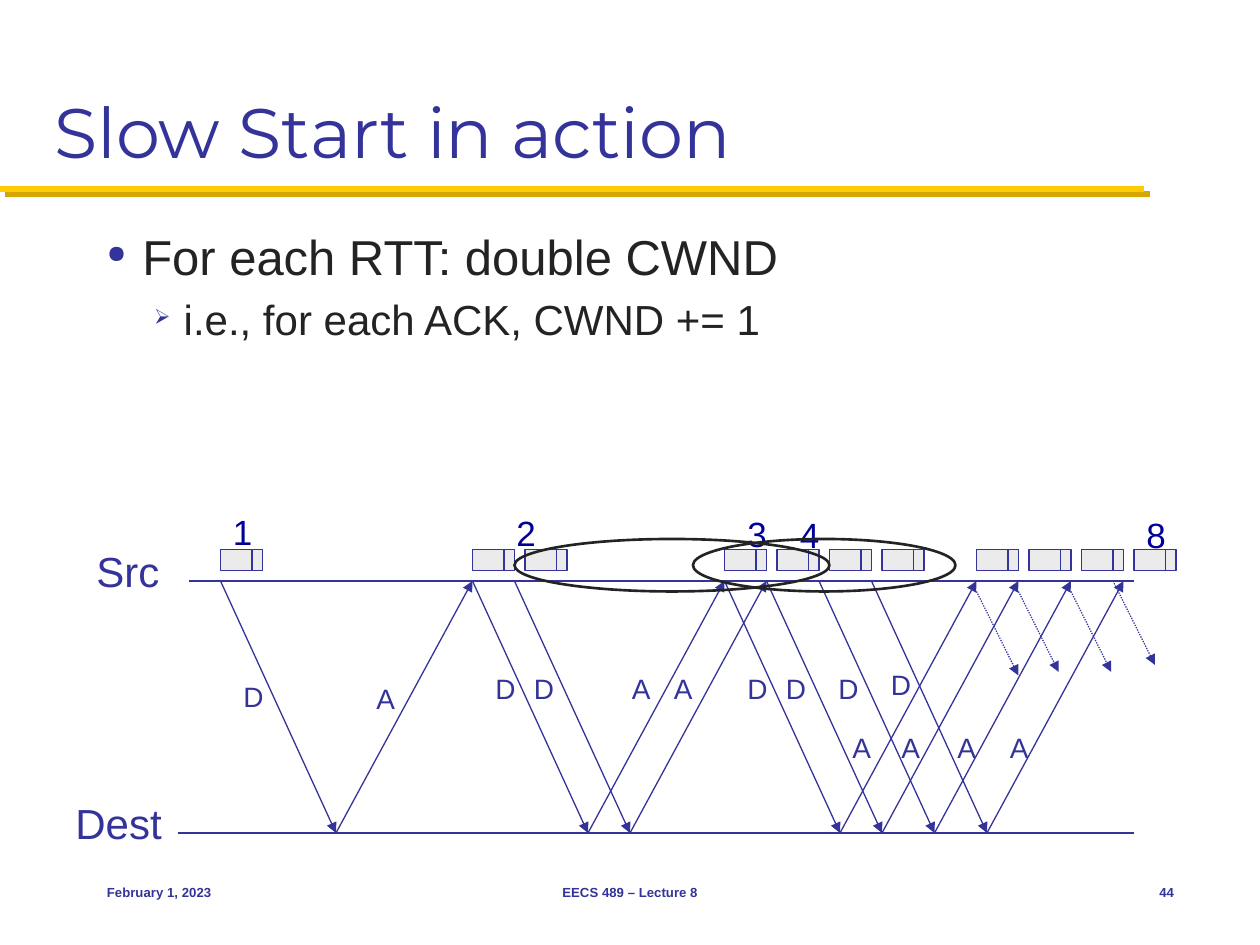
from lxml import etree
from pptx import Presentation
from pptx.dml.color import RGBColor
from pptx.enum.dml import MSO_LINE
from pptx.enum.shapes import MSO_CONNECTOR, MSO_SHAPE
from pptx.enum.text import MSO_ANCHOR, PP_ALIGN
from pptx.oxml.ns import qn
from pptx.util import Pt

STRAIGHT = MSO_CONNECTOR.STRAIGHT
DOTTED = MSO_LINE.ROUND_DOT
RECT, OVAL = MSO_SHAPE.RECTANGLE, MSO_SHAPE.OVAL
TOP, MIDDLE, BOTTOM = MSO_ANCHOR.TOP, MSO_ANCHOR.MIDDLE, MSO_ANCHOR.BOTTOM
LEFT, CENTER, RIGHT = PP_ALIGN.LEFT, PP_ALIGN.CENTER, PP_ALIGN.RIGHT

COLORS = {"navy": "333399", "count": "000099", "ink": "232323",
          "packet": "EBEBEB", "gold": "FFCB05", "gold_shadow": "D3A600"}

prs = Presentation()
prs.slide_width, prs.slide_height = Pt(720), Pt(540)
slide = prs.slides.add_slide(prs.slide_layouts[6])


def add_text(text, left, top, width, height, size=16, color="navy", font="Arial",
             bold=False, align=LEFT, anchor=TOP, wrap=False):
    """Add a text box and return its text frame."""
    frame = slide.shapes.add_textbox(Pt(left), Pt(top), Pt(width), Pt(height)).text_frame
    frame.word_wrap = wrap
    frame.vertical_anchor = anchor
    paragraph = frame.paragraphs[0]
    paragraph.alignment = align
    run = paragraph.add_run()
    run.text = text
    run.font.size, run.font.name, run.font.bold = Pt(size), font, bold
    run.font.color.rgb = RGBColor.from_string(COLORS[color])
    return frame


def add_line(x1, y1, x2, y2, color="navy", width=0.75, arrow=False, dash=None):
    """Add a line without shadow and return its effect list."""
    line = slide.shapes.add_connector(STRAIGHT, Pt(x1), Pt(y1), Pt(x2), Pt(y2))
    line.line.color.rgb = RGBColor.from_string(COLORS[color])
    line.line.width = Pt(width)
    if dash:
        line.line.dash_style = dash
    if arrow:
        etree.SubElement(line.line._get_or_add_ln(), qn("a:tailEnd"), type="triangle")
    return etree.SubElement(line._element.spPr, qn("a:effectLst"))


# Title and its gold rule
rule_effects = add_line(0, 108, 654, 108, color="gold", width=3.5)
shadow = etree.SubElement(rule_effects, qn("a:outerShdw"), dist=str(Pt(4.2)),
                          dir="2700000", algn="ctr", rotWithShape="0")
etree.SubElement(shadow, qn("a:srgbClr"), val=COLORS["gold_shadow"])
add_text("Slow Start in action", 24, 12, 672, 90, size=40, font="Montserrat",
         anchor=BOTTOM, wrap=True)

# Bullets
body = add_text("For each RTT: double CWND", 54, 126, 624, 98, size=28, color="ink", wrap=True)
detail = body.add_paragraph()
detail.level = 1
detail.space_before = Pt(4.8)
detail_run = detail.add_run()
detail_run.text = "i.e., for each ACK, CWND += 1"
detail_run.font.size, detail_run.font.name = Pt(24), "Arial"
detail_run.font.color.rgb = RGBColor.from_string(COLORS["ink"])
for paragraph, mark, indent, hanging in zip(body.paragraphs, "●➢", (20.25, 43.9), (20.25, 16.9)):
    props = paragraph._p.get_or_add_pPr()
    props.set("marL", str(Pt(indent)))
    props.set("indent", str(-Pt(hanging)))
    bullet_color = etree.SubElement(props, qn("a:buClr"))
    etree.SubElement(bullet_color, qn("a:srgbClr"), val=COLORS["navy"])
    etree.SubElement(props, qn("a:buSzPct"), val="50000")
    etree.SubElement(props, qn("a:buChar"), char=mark)

# Time lines of the two hosts
SRC_Y, DEST_Y = 332, 476
add_line(108, SRC_Y, 648, SRC_Y)
add_line(102, DEST_Y, 648, DEST_Y)
add_text("Src", 48, 308, 51, 36, size=24)
add_text("Dest", 36, 452, 64, 36, size=24)

# Packets: the window doubles each round trip
FIRST_SEND, ROUND_TRIP, ONE_WAY = 126, 144, 66
for trip in range(4):
    for i in range(2 ** trip if trip < 3 else 4):
        left = FIRST_SEND + trip * ROUND_TRIP + i * 30
        packet = slide.shapes.add_shape(RECT, Pt(left), Pt(314), Pt(24), Pt(12))
        packet.shadow.inherit = False
        packet.fill.solid()
        packet.fill.fore_color.rgb = RGBColor.from_string(COLORS["packet"])
        packet.line.color.rgb = RGBColor.from_string(COLORS["navy"])
        packet.line.width = Pt(0.75)
        add_line(left + 18, 314, left + 18, 326)

# Data and ACK arrows: send x, D label (x, y), A label (x, y)
exchanges = [
    (126, (132, 385), (208, 386)),
    (270, (276, 380), (354, 380)),
    (294, (298, 380), (378, 380)),
    (414, (420, 380), (480, 414)),
    (438, (442, 380), (508, 414)),
    (468, (472, 380), (540, 414)),
    (498, (502, 378), (570, 414)),
]
for send_x, data_at, ack_at in exchanges:
    add_line(send_x, SRC_Y, send_x + ONE_WAY, DEST_Y, arrow=True)
    add_line(send_x + ONE_WAY, DEST_Y, send_x + ROUND_TRIP, SRC_Y, arrow=True)
    add_text("D", *data_at, 26, 27)
    add_text("A", *ack_at, 26, 27)

# Start of the next round
for x1, y1, x2, y2 in [(558, 338, 582, 386), (582, 338, 605, 384),
                       (612, 338, 635, 384), (636, 332, 660, 380)]:
    add_line(x1, y1, x2, y2, arrow=True, dash=DOTTED)

# Window sizes
for count, left, top in [("1", 126, 288), ("2", 288, 288.5), ("3", 420, 289.5),
                         ("4", 450, 290), ("8", 648, 290)]:
    add_text(count, left, top, 26, 31, size=20, color="count")

# Rings around the windows
for left, width in [(294, 180), (396, 150)]:
    ring = slide.shapes.add_shape(OVAL, Pt(left), Pt(308), Pt(width), Pt(30))
    ring.shadow.inherit = False
    ring.fill.background()
    ring.line.color.rgb = RGBColor.from_string(COLORS["ink"])
    ring.line.width = Pt(1.5)

# Footer
for text, left, width, align in [("February 1, 2023", 54, 150, LEFT),
                                 ("EECS 489 – Lecture 8", 246, 228, CENTER),
                                 ("44", 630, 48, RIGHT)]:
    add_text(text, left, 492, width, 36, size=7.5, bold=True, align=align,
             anchor=MIDDLE, wrap=True)

prs.save("out.pptx")
